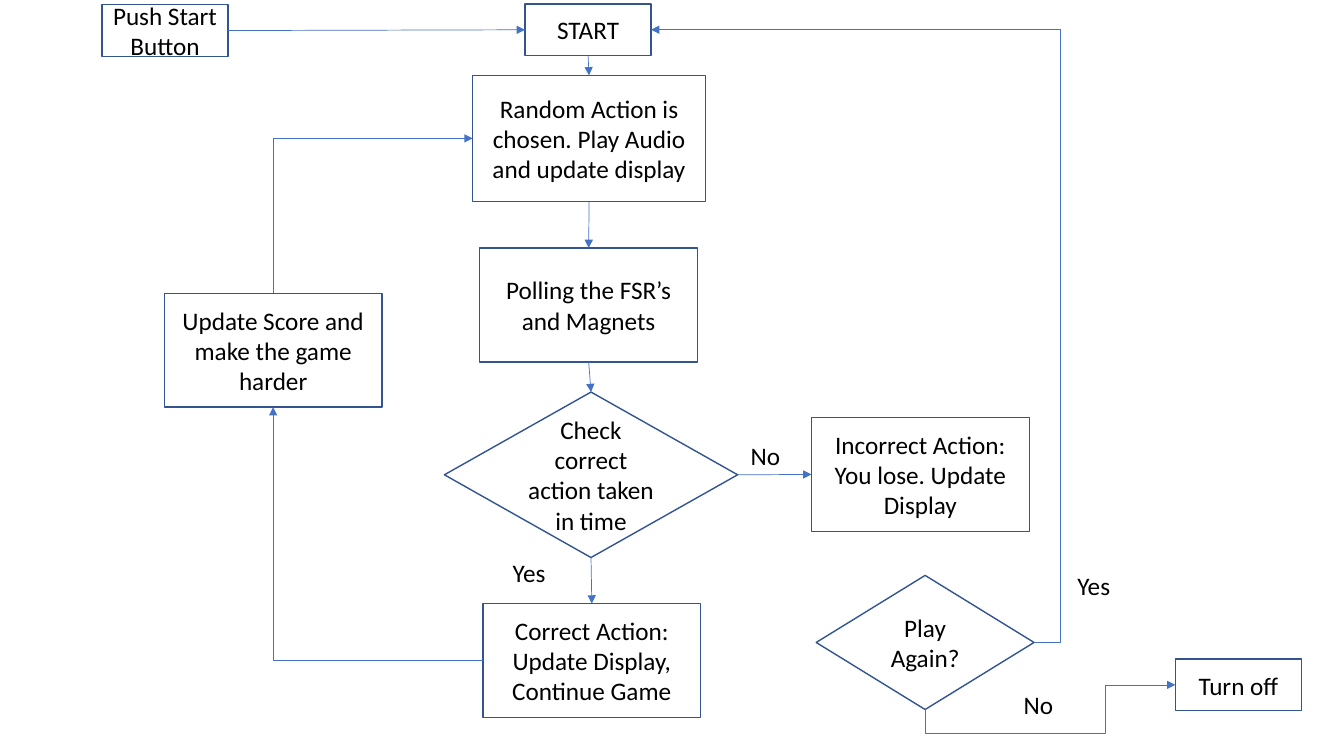
"""Flow chart of a reaction game, from the start button to switching off."""
from lxml import etree
from pptx import Presentation
from pptx.dml.color import RGBColor
from pptx.enum import shapes, text
from pptx.oxml.ns import qn
from pptx.util import Cm, Pt

TOP, LEFT, BOTTOM, RIGHT = range(4)
RECT = shapes.MSO_SHAPE.RECTANGLE
RHOMB = shapes.MSO_SHAPE.DIAMOND
BIG = (5.49, 2.87)
SMALL = (3.18, 1.3)


def color(code):
    """Turn a hex string into a colour."""
    return RGBColor.from_string(code)


def apply(item, values):
    """Set each attribute named in a dict."""
    for name, value in values.items():
        setattr(item, name, value)


class Chart:
    """Holds the style and the slide of the flow chart."""

    font = {"name": "Calibri", "size": Pt(18)}
    ink, paper, edge, wire = "000000", "FFFFFF", "325491", "4472C4"
    middle = {"word_wrap": True, "vertical_anchor": text.MSO_ANCHOR.MIDDLE}
    grow = {"word_wrap": True, "auto_size": text.MSO_AUTO_SIZE.SHAPE_TO_FIT_TEXT}

    def __init__(self, slide):
        """Keep the slide to draw on."""
        self.slide = slide

    def letter(self, shape, words, frame, align):
        """Put styled text into a shape."""
        box = shape.text_frame
        box.text = words
        apply(box, frame)
        for para in box.paragraphs:
            para.alignment = align
            for run in para.runs:
                apply(run.font, self.font)
                run.font.color.rgb = color(self.ink)

    def stroke(self, item, code, width):
        """Set the line colour and width."""
        item.line.color.rgb = color(code)
        item.line.width = Pt(width)

    def node(self, words, left, top, size=BIG, kind=RECT):
        """Add a step or a decision."""
        shape = self.slide.shapes.add_shape(kind, *map(Cm, (left, top, *size)))
        shape.shadow.inherit = False
        shape.fill.solid()
        shape.fill.fore_color.rgb = color(self.paper)
        self.stroke(shape, self.edge, 1)
        self.letter(shape, words, self.middle, text.PP_ALIGN.CENTER)
        return shape

    def label(self, words, left, top):
        """Add the answer beside a branch."""
        box = self.slide.shapes.add_textbox(*map(Cm, (left, top, 1.93, 1.03)))
        self.letter(box, words, self.grow, text.PP_ALIGN.LEFT)

    def link(self, source, out, target, into, bends=0, adjust=()):
        """Join two nodes with an arrow, straight or with right-angled bends."""
        kinds = shapes.MSO_CONNECTOR
        kind = kinds.ELBOW if bends else kinds.STRAIGHT
        line = self.slide.shapes.add_connector(kind, 0, 0, 0, 0)
        line.begin_connect(source, out)
        line.end_connect(target, into)
        self.stroke(line, self.wire, 0.5)
        props = line._element.spPr
        if bends:
            self.bend(props, bends, adjust)
            if out in (TOP, BOTTOM):
                self.turn(line, props)
        tail = etree.SubElement(props.find(qn("a:ln")), qn("a:tailEnd"))
        tail.set("type", "triangle")
        etree.SubElement(props, qn("a:effectLst"))

    def bend(self, props, bends, adjust):
        """Choose the elbow and move its corners."""
        shape = props.find(qn("a:prstGeom"))
        shape.set("prst", f"bentConnector{bends + 1}")
        guides = shape.find(qn("a:avLst"))
        for num, share in enumerate(adjust, 1):
            guide = etree.SubElement(guides, qn("a:gd"))
            guide.set("name", f"adj{num}")
            guide.set("fmla", f"val {round(share * 100000)}")

    def turn(self, line, props):
        """Turn an elbow that runs up and right so that it starts upright."""
        wide, high = line.width, line.height
        shift = (wide - high) // 2
        apply(line, {"left": line.left + shift, "top": line.top - shift,
                     "width": high, "height": wide})
        frame = props.find(qn("a:xfrm"))
        for name, value in {"rot": "5400000", "flipH": "1", "flipV": "1"}.items():
            frame.set(name, value)


def main():
    """Build and save the slide."""
    deck = Presentation()
    apply(deck, {"slide_width": Cm(33.87), "slide_height": Cm(19.05)})
    chart = Chart(deck.slides.add_slide(deck.slide_layouts[6]))
    node, link = chart.node, chart.link

    push = node("Push Start Button", 2.57, 0.12, SMALL)
    start = node("START", 13.23, 0.1, SMALL)
    pick = node("Random Action is chosen. Play Audio and update display",
                11.91, 1.9, (5.87, 3.18))
    poll = node("Polling the FSR’s and Magnets", 12.09, 6.25)
    check = node("Check correct action taken in time", 11.2, 9.88, (7.39, 4.17), RHOMB)
    right = node("Correct Action:\nUpdate Display, Continue Game", 12.17, 15.21)
    wrong = node("Incorrect Action: You lose. Update Display", 20.45, 10.52)
    score = node("Update Score and make the game harder", 4.14, 7.39)
    again = node("Play Again?", 20.57, 14.5, (5.49, 3.38), RHOMB)
    off = node("Turn off", 29.62, 16.61, SMALL)

    steps = [start, pick, poll, check, right]
    for upper, lower in zip(steps, steps[1:]):
        link(upper, BOTTOM, lower, TOP)
    link(push, RIGHT, start, LEFT)
    link(check, RIGHT, wrong, LEFT)
    link(right, LEFT, score, BOTTOM, 1)
    link(score, TOP, pick, LEFT, 1)
    link(again, RIGHT, start, RIGHT, 2, [-0.07])
    link(again, BOTTOM, off, LEFT, 3, [-0.98, 0.72])

    for words, left, top in [("No", 18.67, 10.97), ("Yes", 12.67, 13.92),
                             ("Yes", 26.9, 14.25), ("No", 25.55, 17.25)]:
        chart.label(words, left, top)
    deck.save("out.pptx")


main()
